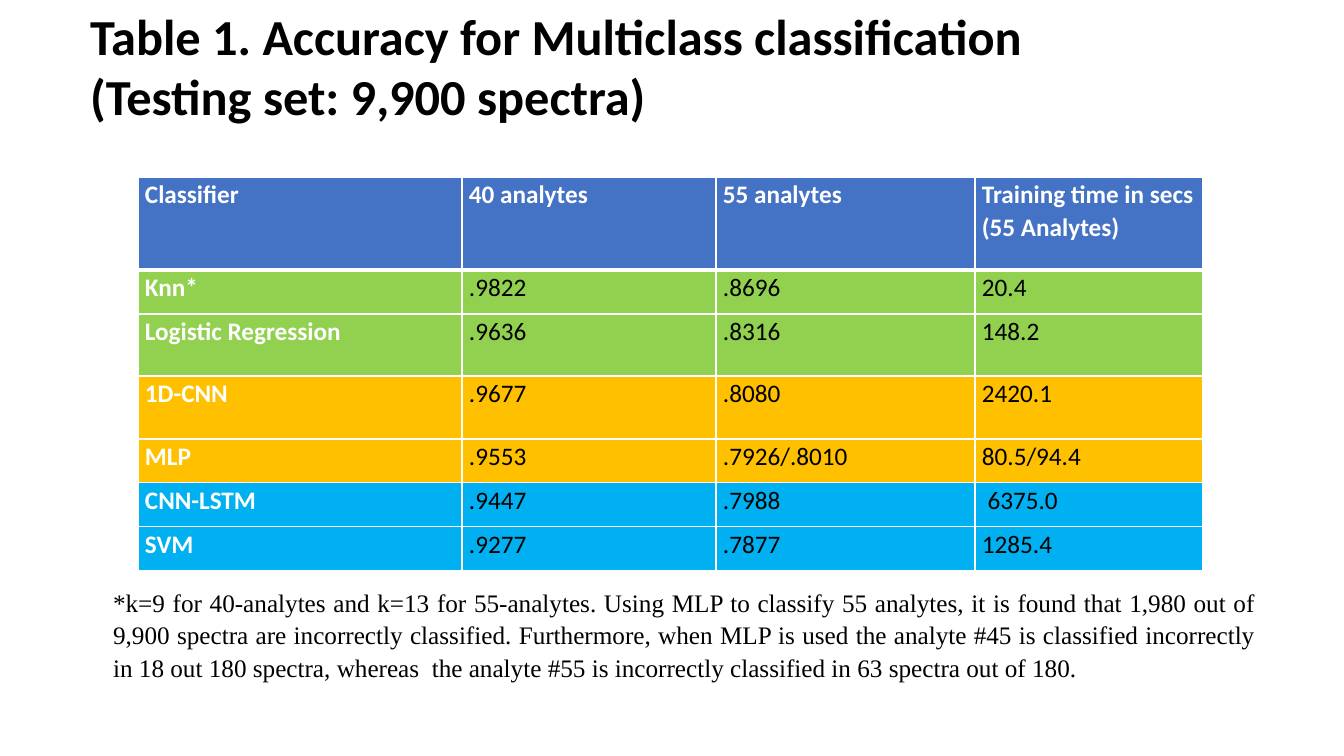
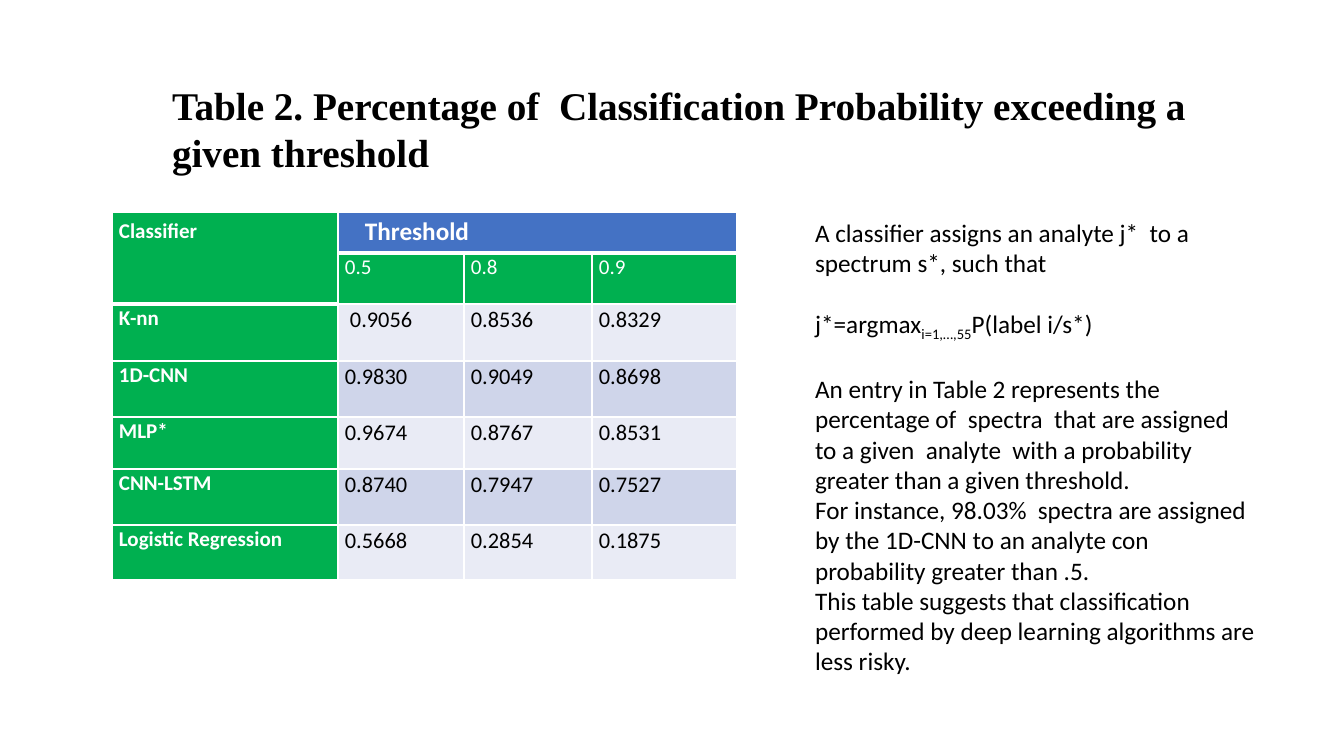
from lxml.etree import SubElement
from pptx import Presentation
from pptx.dml.color import RGBColor
from pptx.enum.text import MSO_ANCHOR as Anchor, MSO_AUTO_SIZE as AutoSize, PP_ALIGN as Align
from pptx.oxml import parse_xml
from pptx.oxml.ns import nsdecls, qn
from pptx.util import Pt

PX = 12192000 / 1344
SANS, SERIF = "Calibri", "Times New Roman"
BLACK, WHITE, BLUE = "000000", "FFFFFF", "4472C4"
LIME, AMBER, SKY, GREEN = "92D050", "FFC000", "00B0F0", "00B050"
PALE, MIST = "E9EBF5", "CFD5EA"
JUSTIFIED_SPACING = 1.07
HEADER_RULE = (
    f'<a:lnB {nsdecls("a")} w="38100"><a:solidFill><a:srgbClr val="{WHITE}"/>'
    "</a:solidFill></a:lnB>"
)


def px(length):
    return round(length * PX)


def format_text(frame, font, size, color=BLACK, bold=False, justified=False):
    for paragraph in frame.paragraphs:
        paragraph.alignment = Align.JUSTIFY if justified else Align.LEFT
        paragraph.line_spacing = JUSTIFIED_SPACING if justified else 1.0
        for run in paragraph.runs:
            run.font.name = font
            run.font.size = Pt(size)
            run.font.bold = bold
            run.font.color.rgb = RGBColor.from_string(color)


deck = Presentation()
deck.slide_width, deck.slide_height = px(1344), px(756)
accuracy, threshold = [deck.slides.add_slide(deck.slide_layouts[1]) for _ in range(2)]

note = (
    "*k=9 for 40-analytes and k=13 for 55-analytes. Using MLP to classify 55 analytes, "
    "it is found that 1,980 out of 9,900 spectra are incorrectly classified. Furthermore, "
    "when MLP is used the analyte #45 is classified incorrectly in 18 out 180 spectra, "
    "whereas  the analyte #55 is incorrectly classified in 63 spectra out of 180."
)
explanation = "\n".join([
    "A classifier assigns an analyte j*  to a spectrum s*, such that",
    "j*=argmax",
    "An entry in Table 2 represents the percentage of  spectra  that are assigned to a given"
    "  analyte  with a probability greater than a given threshold.",
    "For instance, 98.03%  spectra are assigned by the 1D-CNN to an analyte con probability"
    " greater than .5.",
    "This table suggests that classification performed by deep learning algorithms are less risky.",
])

threshold.placeholders[1].text_frame.text = explanation
formula = threshold.placeholders[1].text_frame.paragraphs[1]
for part in ("i=1,…,55", "P(label i/s*)"):
    formula.add_run().text = part
formula.runs[1].font._element.set("baseline", "-25000")
accuracy.placeholders[1].text_frame.text = note
accuracy.shapes.title.text_frame.text = (
    "Table 1. Accuracy for Multiclass classification (Testing set: 9,900 spectra)"
)
threshold.shapes.title.text_frame.text = (
    "Table 2. Percentage of  Classification Probability exceeding a given threshold"
)

texts = [
    (accuracy.shapes.title, (80, 0, 1101, 163), SANS, 36, True, False),
    (accuracy.placeholders[1], (103, 580, 1163, 139), SERIF, 18, False, True),
    (threshold.shapes.title, (162, 76, 1112, 105), SERIF, 28, True, False),
    (threshold.placeholders[1], (805, 212, 461, 468), SANS, 18, False, False),
]
for holder, box, font, size, bold, justified in texts:
    holder.left, holder.top, holder.width, holder.height = map(px, box)
    frame = holder.text_frame
    frame.word_wrap = True
    frame.auto_size = AutoSize.NONE
    frame.vertical_anchor = Anchor.TOP
    format_text(frame, font, size, BLACK, bold, justified)
    for paragraph in frame.paragraphs:
        paragraph.space_before = Pt(0)
        properties = paragraph._p.get_or_add_pPr()
        properties.set("marL", "0")
        properties.set("indent", "0")
        SubElement(properties, qn("a:buNone"))
for paragraph in threshold.placeholders[1].text_frame.paragraphs[1:3]:
    paragraph.space_before = Pt(22)

accuracy_rows = [
    (93, BLUE, BLUE, WHITE, 18, True,
     ["Classifier", "40 analytes", "55 analytes", "Training time in secs\n(55 Analytes)"]),
    (44, LIME, LIME, BLACK, 18, False, ["Knn*", ".9822", ".8696", "20.4"]),
    (62, LIME, LIME, BLACK, 18, False, ["Logistic Regression", ".9636", ".8316", "148.2"]),
    (63, AMBER, AMBER, BLACK, 18, False, ["1D-CNN", ".9677", ".8080", "2420.1"]),
    (44, AMBER, AMBER, BLACK, 18, False, ["MLP", ".9553", ".7926/.8010", "80.5/94.4"]),
    (44, SKY, SKY, BLACK, 18, False, ["CNN-LSTM", ".9447", ".7988", " 6375.0"]),
    (44, SKY, SKY, BLACK, 18, False, ["SVM", ".9277", ".7877", "1285.4"]),
]
threshold_rows = [
    (41, GREEN, BLUE, WHITE, 18, True, ["Classifier", "Threshold", "", ""]),
    (51, GREEN, GREEN, WHITE, 15, False, ["", "0.5", "0.8", "0.9"]),
    (57, GREEN, PALE, BLACK, 16, False, ["K-nn", " 0.9056", "0.8536", "0.8329"]),
    (56, GREEN, MIST, BLACK, 16, False, ["1D-CNN", "0.9830", "0.9049", "0.8698"]),
    (52, GREEN, PALE, BLACK, 16, False, ["MLP*", "0.9674", "0.8767", "0.8531"]),
    (56, GREEN, MIST, BLACK, 16, False, ["CNN-LSTM", "0.8740", "0.7947", "0.7527"]),
    (55, GREEN, PALE, BLACK, 16, False, ["Logistic Regression", "0.5668", "0.2854", "0.1875"]),
]
tables = [
    (accuracy, 138, 177, [324, 254, 259, 228], accuracy_rows, 18),
    (threshold, 112, 212, [226, 126, 128, 145], threshold_rows, 15),
]
for slide, left, top, widths, rows, label_size in tables:
    height = sum(row[0] for row in rows)
    grid = slide.shapes.add_table(
        len(rows), len(widths), px(left), px(top), px(sum(widths)), px(height)
    ).table
    for column, width in zip(grid.columns, widths):
        column.width = px(width)
    for r, (height, label_fill, fill, color, size, bold, values) in enumerate(rows):
        grid.rows[r].height = px(height)
        for c, value in enumerate(values):
            cell = grid.cell(r, c)
            cell.margin_left = cell.margin_right = px(7)
            cell.margin_top = cell.margin_bottom = 0
            cell.fill.solid()
            cell.fill.fore_color.rgb = RGBColor.from_string(fill if c else label_fill)
            cell.text_frame.text = value
            if c:
                format_text(cell.text_frame, SANS, size, color, bold, True)
            else:
                format_text(cell.text_frame, SANS, label_size, WHITE, True, True)

header_cells = [accuracy.shapes[-1].table.cell(0, c) for c in range(4)]
grid = threshold.shapes[-1].table
header_cells += [grid.cell(0, c) for c in range(4)] + [grid.cell(1, 0)]
for cell in header_cells:
    cell._tc.get_or_add_tcPr().insert(0, parse_xml(HEADER_RULE))

classifier, heading = grid.cell(0, 0), grid.cell(0, 1)
for cell in (classifier, heading):
    cell.margin_top = cell.margin_bottom = px(5)
heading.margin_left = px(27)
format_text(heading.text_frame, SANS, 18, WHITE, True)
classifier.merge(grid.cell(1, 0))
heading.merge(grid.cell(0, 3))

deck.save("out.pptx")
